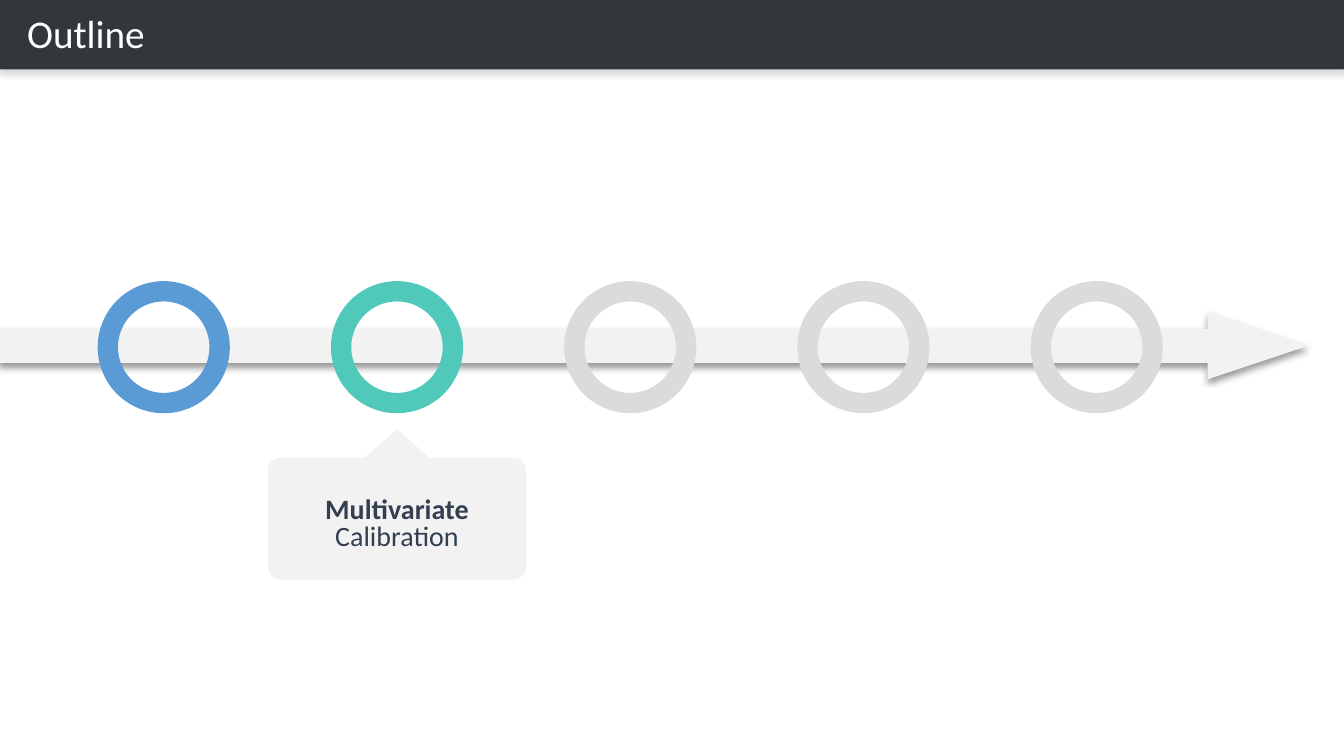
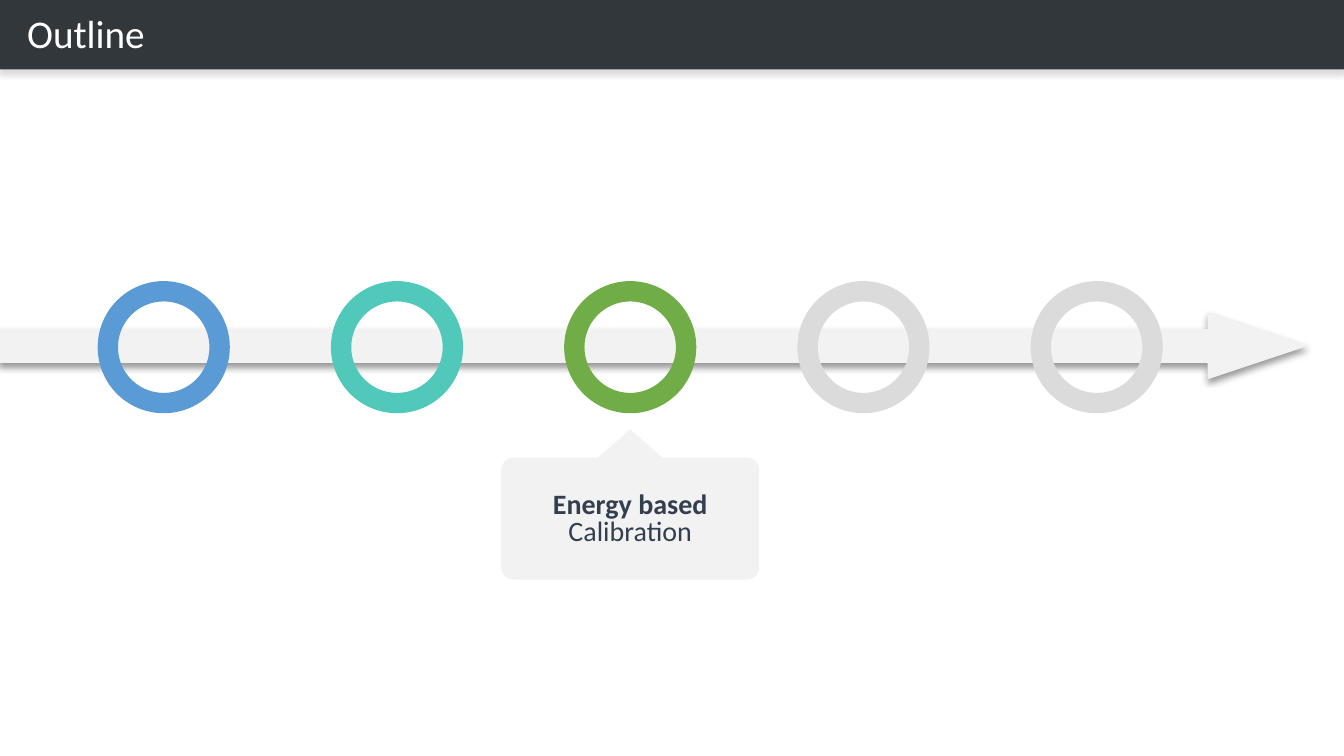
from dataclasses import dataclass

import pptx
import pptx.dml.color
import pptx.enum.shapes
import pptx.enum.text
import pptx.oxml
import pptx.oxml.ns
import pptx.util

Pt = pptx.util.Pt
Shape = pptx.enum.shapes.MSO_SHAPE

FONT = "Calibri"
WHITE, DARK, INK = "FFFFFF", "32373C", "333F50"
PALE, PENDING = "F2F2F2", "DBDBDB"
STEP_COLORS = ["5B9BD5", "50C8BA", "70AD47"]

SLIDE_W, SLIDE_H = 960, 540
STEP_COUNT = 5
RING_LEFT, RING_TOP, RING_SIZE, RING_PITCH = 69.8, 200.8, 94.4, 166.6
ARROW_Y, ARROW_END = 247, 934.6
CARD_TOP, CARD_W, CARD_H = 326.9, 184.3, 87.1
POINTER_TOP, POINTER_W, POINTER_H = 306.7, 51.8, 45.4
LABEL_H = 69.1


@dataclass
class Stage:
    step: int
    heading: str
    detail: str
    label_top: float


STAGES = [
    Stage(1, "Multivariate", "Calibration", 340.6),
    Stage(2, "Energy based", "Calibration", 337),
]


def rgb(color: str) -> pptx.dml.color.RGBColor:
    return pptx.dml.color.RGBColor.from_string(color)


def add_shadow(sp, opacity: int, angle: int) -> None:
    """Replace the theme shadow with a soft black one; angle is in degrees."""
    props = sp.element.spPr
    for old in props.findall(pptx.oxml.ns.qn("a:effectLst")):
        props.remove(old)
    props.append(pptx.oxml.parse_xml(
        f'<a:effectLst {pptx.oxml.ns.nsdecls("a")}>'
        f'<a:outerShdw blurRad="{Pt(4)}" dist="{Pt(3)}" dir="{angle * 60000}" '
        'algn="t" rotWithShape="0"><a:srgbClr val="000000">'
        f'<a:alpha val="{opacity * 1000}"/></a:srgbClr></a:outerShdw></a:effectLst>'))


def add_filled(s, kind, left: float, top: float, width: float, height: float,
               color: str, adjustment: float | None = None):
    sp = s.shapes.add_shape(kind, Pt(left), Pt(top), Pt(width), Pt(height))
    sp.shadow.inherit = False
    sp.fill.solid()
    sp.fill.fore_color.rgb = rgb(color)
    sp.line.fill.background()
    if adjustment is not None:
        sp.adjustments[0] = adjustment
    return sp


def add_run(p, text: str, size: float, color: str, bold: bool = False) -> None:
    r = p.add_run()
    r.text = text
    r.font.name = FONT
    r.font.size = Pt(size)
    r.font.bold = bold
    r.font.color.rgb = rgb(color)


def set_up_layout(layout, s) -> None:
    """Move a header band made on s behind the layout's title placeholder."""
    band = add_filled(s, Shape.RECTANGLE, -0.7, -0.7, SLIDE_W + 1.4, 50.4, DARK)
    add_shadow(band, 15, 90)
    layout.shapes.element.insert(2, band.element)
    title = layout.placeholders[0]
    title.left, title.top = Pt(12.2), Pt(2.2)
    title.width, title.height = Pt(910), Pt(46)


def add_title(s, text: str) -> None:
    tf = s.shapes.title.text_frame
    tf.auto_size = pptx.enum.text.MSO_AUTO_SIZE.NONE
    tf.vertical_anchor = pptx.enum.text.MSO_ANCHOR.MIDDLE
    p = tf.paragraphs[0]
    p.alignment = pptx.enum.text.PP_ALIGN.LEFT
    p.line_spacing = 0.9
    add_run(p, text, 28, WHITE)


def add_timeline(s, current: int) -> None:
    """Draw the arrow and rings, coloured up to the current step."""
    arrow = s.shapes.add_connector(
        pptx.enum.shapes.MSO_CONNECTOR.STRAIGHT,
        Pt(0), Pt(ARROW_Y), Pt(ARROW_END), Pt(ARROW_Y))
    arrow.line.color.rgb = rgb(PALE)
    arrow.line.width = Pt(24)
    arrow.line._get_or_add_ln().append(pptx.oxml.parse_xml(
        f'<a:tailEnd {pptx.oxml.ns.nsdecls("a")} type="triangle" w="sm"/>'))
    add_shadow(arrow, 40, 135)
    for step in range(STEP_COUNT):
        color = STEP_COLORS[step] if step <= current else PENDING
        add_filled(s, Shape.DONUT, RING_LEFT + step * RING_PITCH, RING_TOP,
                   RING_SIZE, RING_SIZE, color, 0.154)


def add_callout(s, stage: Stage) -> None:
    center = RING_LEFT + stage.step * RING_PITCH + RING_SIZE / 2
    left = center - CARD_W / 2
    add_filled(s, Shape.DIAMOND, center - POINTER_W / 2, POINTER_TOP,
               POINTER_W, POINTER_H, PALE)
    add_filled(s, Shape.ROUNDED_RECTANGLE, left, CARD_TOP, CARD_W, CARD_H, PALE, 0.103)
    label = s.shapes.add_textbox(Pt(left), Pt(stage.label_top), Pt(CARD_W), Pt(LABEL_H))
    tf = label.text_frame
    tf.word_wrap = True
    tf.vertical_anchor = pptx.enum.text.MSO_ANCHOR.MIDDLE
    p = tf.paragraphs[0]
    p.alignment = pptx.enum.text.PP_ALIGN.CENTER
    p.line_spacing = 0.8
    add_run(p, stage.heading, 20, INK, bold=True)
    p.add_line_break()
    add_run(p, stage.detail, 20, INK)


def main() -> None:
    prs = pptx.Presentation()
    prs.slide_width, prs.slide_height = Pt(SLIDE_W), Pt(SLIDE_H)
    layout = prs.slide_layouts.get_by_name("Title Only")
    slides = [prs.slides.add_slide(layout) for _ in STAGES]
    set_up_layout(layout, slides[0])
    for s, stage in zip(slides, STAGES):
        add_title(s, "Outline")
        add_timeline(s, stage.step)
        add_callout(s, stage)
    prs.save("out.pptx")


if __name__ == "__main__":
    main()
